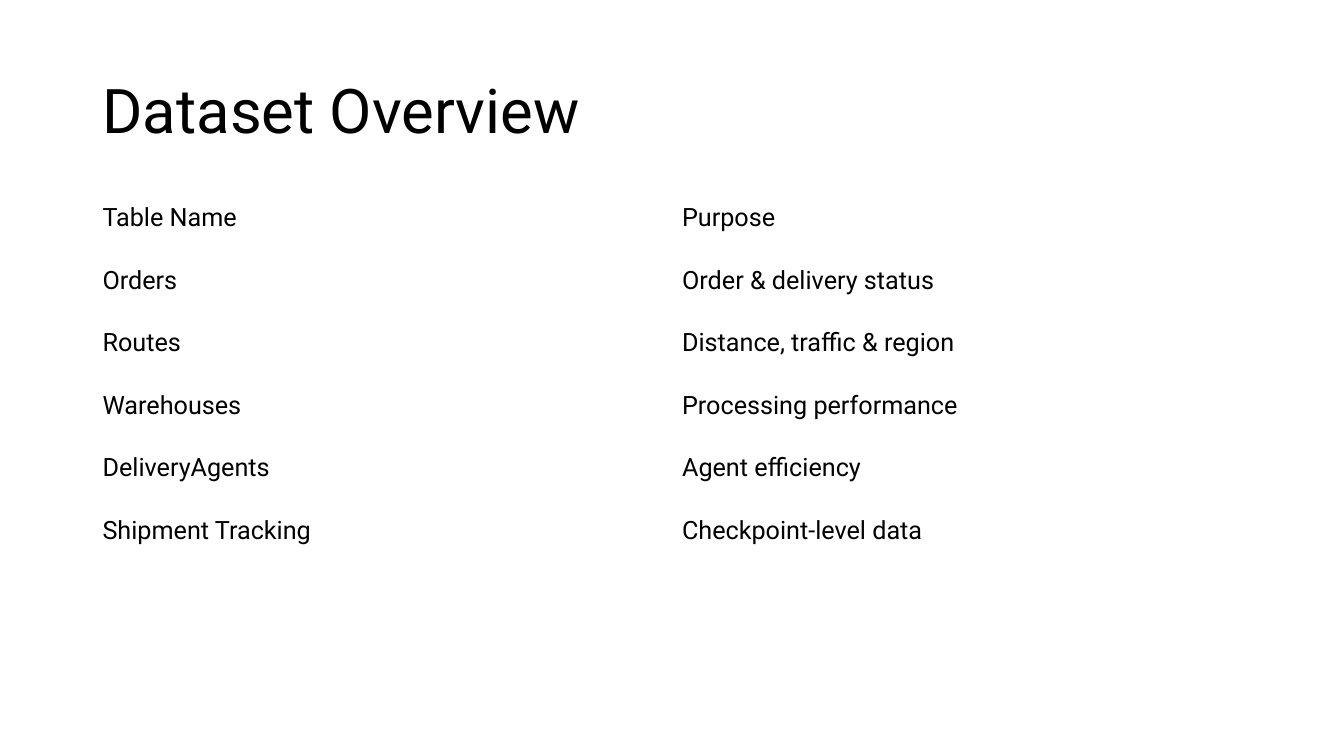
from pptx import Presentation
from pptx.dml.color import RGBColor
from pptx.enum import text
from pptx.util import Cm, Pt

COLORS = {"text": "000000", "background": "FFFFFF"}
FONT = "Roboto"
ROWS = [
    ("Table Name", "Purpose"),
    ("Orders", "Order & delivery status"),
    ("Routes", "Distance, traffic & region"),
    ("Warehouses", "Processing performance"),
    ("DeliveryAgents", "Agent efficiency"),
    ("Shipment Tracking", "Checkpoint-level data"),
]


def write(tf, content, size=18, color="text", spacing=1.0):
    p = tf.paragraphs[0]
    p.alignment = text.PP_ALIGN.LEFT
    p.line_spacing = spacing
    r = p.add_run()
    r.text = content
    r.font.name = FONT
    r.font.size = Pt(size)
    r.font.bold = False
    r.font.color.rgb = RGBColor.from_string(COLORS[color])


def add_title(s, content, left, top, width, height):
    sp = s.shapes.title
    sp.left, sp.top, sp.width, sp.height = left, top, width, height
    tf = sp.text_frame
    tf.word_wrap = True
    tf.auto_size = text.MSO_AUTO_SIZE.NONE
    tf.vertical_anchor = text.MSO_ANCHOR.MIDDLE
    write(tf, content, size=44, spacing=0.9)


def add_dataset_table(s, rows, left, top, width, height):
    table = s.shapes.add_table(len(rows), len(rows[0]), left, top, width, height).table
    table.first_row = False
    table.horz_banding = False
    for i, row in enumerate(rows):
        for j, content in enumerate(row):
            cell = table.cell(i, j)
            cell.fill.solid()
            cell.fill.fore_color.rgb = RGBColor.from_string(COLORS["background"])
            cell.vertical_anchor = text.MSO_ANCHOR.MIDDLE
            write(cell.text_frame, content)


def main():
    prs = Presentation()
    prs.slide_width, prs.slide_height = Cm(33.87), Cm(19.05)
    s = prs.slides.add_slide(prs.slide_layouts[5])
    left, width = Cm(2.33), Cm(29.21)
    add_title(s, "Dataset Overview", left, Cm(1.01), width, Cm(3.68))
    add_dataset_table(s, ROWS, left, Cm(4.7), width, Cm(9.47))
    prs.save("out.pptx")


if __name__ == "__main__":
    main()
